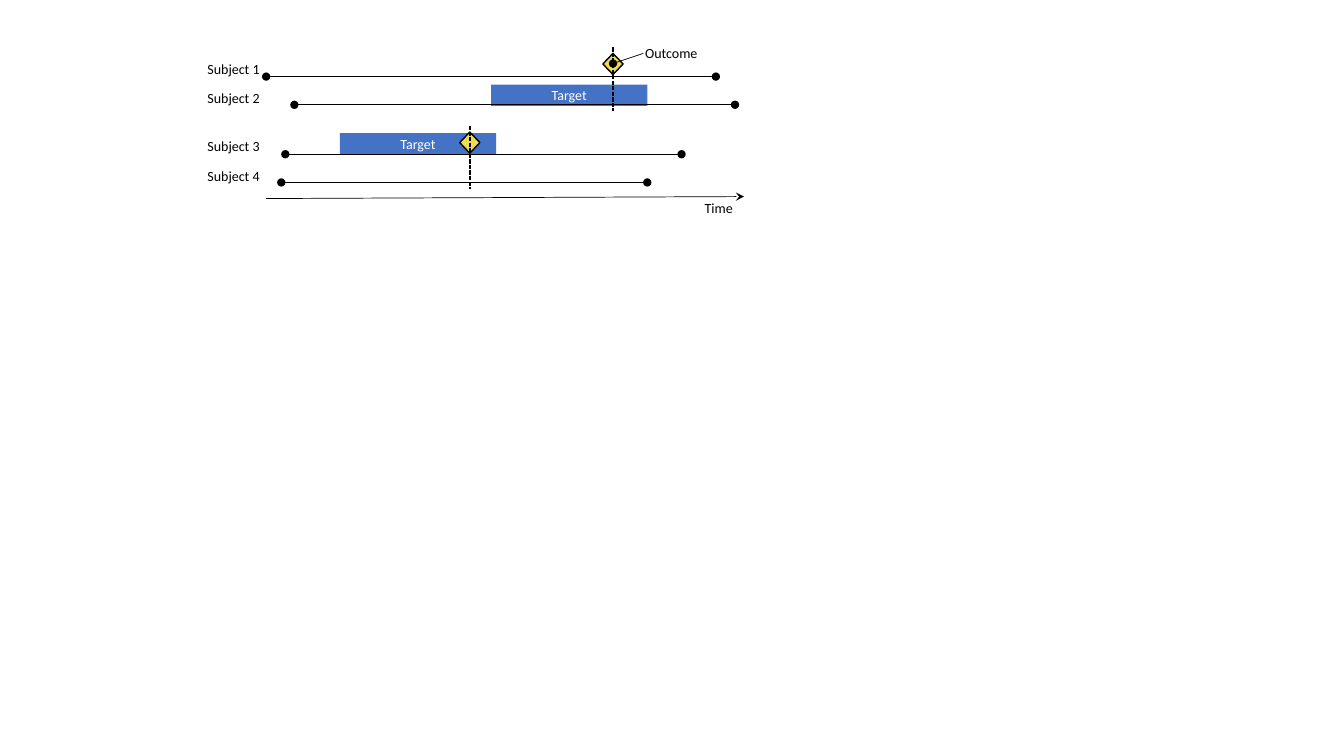
"""Draws a timeline of four subjects with target periods and outcomes."""
from lxml import etree
from pptx import Presentation
from pptx.dml.color import RGBColor
from pptx.enum.dml import MSO_LINE
from pptx.enum.shapes import MSO_CONNECTOR, MSO_SHAPE
from pptx.enum.text import MSO_ANCHOR, MSO_AUTO_SIZE, PP_ALIGN
from pptx.oxml.ns import qn
from pptx.util import Inches, Pt

RECT = MSO_SHAPE.RECTANGLE
DIAMOND = MSO_SHAPE.FLOWCHART_DECISION
STRAIGHT = MSO_CONNECTOR.STRAIGHT
DASH = MSO_LINE.SQUARE_DOT
MIDDLE = MSO_ANCHOR.MIDDLE
CENTER = PP_ALIGN.CENTER
LEFT = PP_ALIGN.LEFT
FIT = MSO_AUTO_SIZE.SHAPE_TO_FIT_TEXT
BLACK, WHITE, BLUE, YELLOW = "000000", "FFFFFF", "4472C4", "EEDC54"

deck = Presentation()
deck.slide_width, deck.slide_height = Inches(13.33), Inches(7.5)
shapes = deck.slides.add_slide(deck.slide_layouts[6]).shapes
color = RGBColor.from_string


def write(text, left, top, width, height=0.27, ink=BLACK, fill=None, align=LEFT):
    area = [Inches(n) for n in (left, top, width, height)]
    if fill:
        box = shapes.add_shape(RECT, *area)
        box.shadow.inherit = False
        box.fill.solid()
        box.fill.fore_color.rgb = color(fill)
        box.line.fill.background()
        box.text_frame.vertical_anchor = MIDDLE
    else:
        box = shapes.add_textbox(*area)
        box.text_frame.word_wrap = False
        box.text_frame.auto_size = FIT
    para = box.text_frame.paragraphs[0]
    para.alignment = align
    run = para.add_run()
    run.text = text
    run.font.name, run.font.size = "Calibri", Pt(10)
    run.font.color.rgb = color(ink)


def draw(x1, y1, x2, y2, head=None, tail=None, width=0.5, dash=None):
    line = shapes.add_connector(STRAIGHT, *[Inches(n) for n in (x1, y1, x2, y2)])
    line.line.color.rgb = color(BLACK)
    line.line.width = Pt(width)
    if dash:
        line.line.dash_style = dash
    props = line.line._get_or_add_ln()
    for tag, kind in (("a:headEnd", head), ("a:tailEnd", tail)):
        if kind:
            etree.SubElement(props, qn(tag)).set("type", kind)
    etree.SubElement(line._element.spPr, qn("a:effectLst"))


draw(2.64, 1.97, 7.38, 1.95, tail="stealth")
write("Time", 6.89, 1.93, 0.48)

spans = [(0.55, 0.76, 2.64, 7.1), (0.84, 1.04, 2.92, 7.29),
         (1.32, 1.53, 2.83, 6.76), (1.61, 1.81, 2.79, 6.42)]
for num, (top, y, start, end) in enumerate(spans, 1):
    write(f"Subject {num}", 1.96, top, 0.73)

for left, top in ((4.87, 0.84), (3.37, 1.32)):
    write("Target", left, top, 1.55, 0.21, ink=WHITE, fill=BLUE, align=CENTER)

for top, y, start, end in spans:
    draw(start, y, end, y, head="oval", tail="oval")

for mid, top in ((6.08, 0.53), (4.66, 1.31)):
    mark = shapes.add_shape(DIAMOND, Inches(mid - 0.1), Inches(top),
                            Inches(0.2), Inches(0.21))
    mark.shadow.inherit = False
    mark.fill.solid()
    mark.fill.fore_color.rgb = color(YELLOW)
    mark.line.color.rgb = color(BLACK)
    mark.line.width = Pt(1)
    draw(mid, top - 0.06, mid, top + 0.57, width=1, dash=DASH)

write("Outcome", 6.3, 0.39, 0.73)
draw(6.38, 0.53, 6.08, 0.63, tail="oval")

deck.save("out.pptx")
